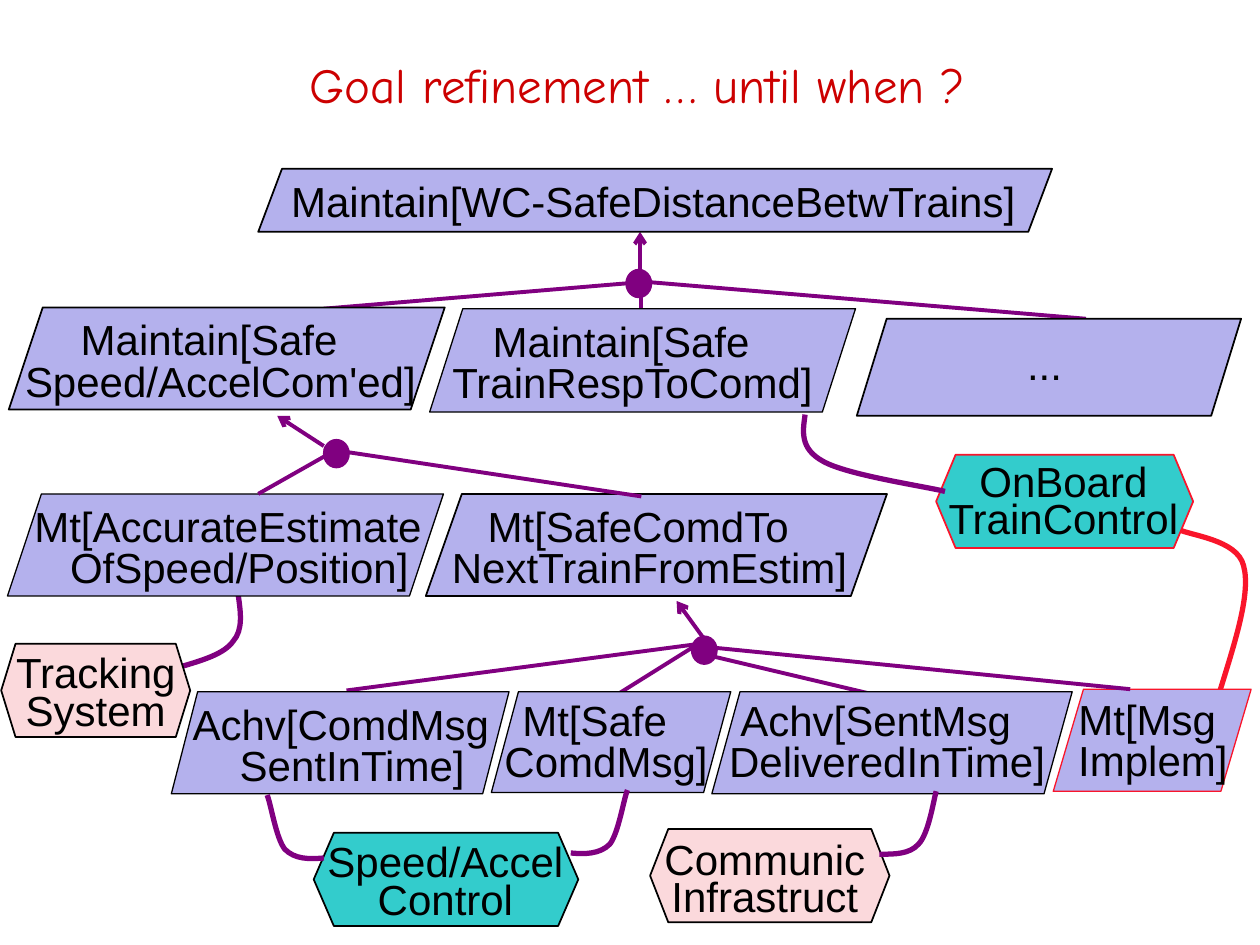
from dataclasses import dataclass

import lxml.etree
import pptx
import pptx.dml.color
import pptx.enum.shapes
import pptx.enum.text
import pptx.oxml.ns
import pptx.util

Inches = pptx.util.Inches
Pt = pptx.util.Pt
qn = pptx.oxml.ns.qn
Preset = pptx.enum.shapes.MSO_SHAPE
Point = tuple[float, float]
Area = tuple[float, float, float, float]

COLORS = {
    "title": "CC0000",
    "text": "000000",
    "outline": "000000",
    "goal": "B4B1ED",
    "link": "800080",
    "software": "33CCCC",
    "environment": "FBD9DC",
    "alert": "F9152B",
}
NODE_SIZE = (0.2, 0.22)


@dataclass
class Label:
    lines: list[str]
    area: Area
    spacing: float = 0.6
    gap: float = 5
    indents: tuple[float, float] = (0, 0.18)
    wrap: bool = True


@dataclass
class Goal:
    area: Area
    slant: float
    label: Label
    weight: float = 0.75
    outline: str = "outline"


@dataclass
class Agent:
    area: Area
    corner: float
    fill: str
    lines: list[str]
    label_area: Area
    outline: str = "outline"


@dataclass
class Link:
    start: Point
    end: Point
    arrow: bool = False


@dataclass
class Curve:
    points: list[Point]
    color: str = "link"


NODES = [(5.49, 5.05), (4.97, 2.14), (2.57, 3.49)]

BACK_LINKS = [
    Link((5.66, 5.17), (5.37, 4.77), True),
    Link((5.51, 5.13), (4.87, 5.53)),
    Link((5.55, 5.11), (2.75, 5.48)),
    Link((7.01, 5.53), (5.66, 5.21)),
    Link((2.57, 2.45), (5.08, 2.24)),
    Link((8.62, 2.53), (5.16, 2.24)),
    Link((5.08, 2.24), (5.08, 1.84), True),
    Link((5.09, 2.78), (5.09, 2.24)),
    Link((2.57, 3.54), (2.2, 3.3), True),
]
FRONT_LINKS = [
    Link((2.05, 3.92), (2.72, 3.54)),
    Link((5.09, 3.94), (2.57, 3.56)),
    Link((8.97, 5.47), (5.66, 5.14)),
]

BACK_CURVES = [
    Curve([(1.44, 5.29), (1.61, 5.24), (1.78, 5.19), (1.85, 5.09),
           (1.93, 5), (1.91, 4.86), (1.89, 4.72)]),
    Curve([(9.68, 5.49), (9.8, 5.1), (9.93, 4.71), (9.87, 4.49),
           (9.82, 4.28), (9.44, 4.25), (9.35, 4.2)], "alert"),
]
FRONT_CURVES = [
    Curve([(6.39, 3.29), (6.37, 3.43), (6.35, 3.56), (6.53, 3.66),
           (6.72, 3.77), (7.34, 3.86), (7.5, 3.9)]),
    Curve([(6.98, 6.78), (7.1, 6.78), (7.22, 6.78), (7.29, 6.7),
           (7.37, 6.62), (7.41, 6.35), (7.43, 6.28)]),
    Curve([(4.53, 6.77), (4.64, 6.78), (4.76, 6.78), (4.84, 6.7),
           (4.91, 6.61), (4.95, 6.34), (4.98, 6.27)]),
    Curve([(2.57, 6.81), (2.45, 6.82), (2.34, 6.82), (2.26, 6.74),
           (2.19, 6.65), (2.15, 6.38), (2.12, 6.31)]),
]

GOALS = [
    Goal((0.07, 2.44, 3.46, 0.81), 0.333,
         Label(["Maintain[Safe", "Speed/AccelCom'ed]"], (-0.09, 2.44, 3.5, 0.81)), 1),
    Goal((2.05, 1.34, 6.3, 0.5), 0.377,
         Label(["Maintain[WC-SafeDistanceBetwTrains]"], (2.2, 1.34, 5.97, 0.5), wrap=False), 1),
    Goal((3.41, 2.45, 3.38, 0.82), 0.321,
         Label(["Maintain[Safe", "TrainRespToComd]"], (3.28, 2.45, 3.3, 0.81))),
    Goal((6.8, 2.53, 3.05, 0.77), 0.308,
         Label(["..."], (8.05, 2.64, 0.48, 0.5), wrap=False), 1),
    Goal((0.06, 3.92, 3.46, 0.81), 0.333,
         Label(["Mt[AccurateEstimate", "OfSpeed/Position]"], (0.06, 3.92, 3.5, 0.81))),
    Goal((3.38, 3.92, 3.66, 0.81), 0.353,
         Label(["Mt[SafeComdTo", "NextTrainFromEstim]"], (3.21, 3.92, 3.71, 0.81)), 1),
    Goal((1.36, 5.49, 2.68, 0.81), 0.258,
         Label(["Achv[ComdMsg", "SentInTime]"], (1.35, 5.49, 2.71, 0.81))),
    Goal((3.9, 5.49, 1.9, 0.8), 0.269,
         Label(["Mt[Safe", "ComdMsg]"], (3.7, 5.46, 2.04, 0.81))),
    Goal((5.65, 5.49, 2.86, 0.81), 0.276,
         Label(["Achv[SentMsg", "DeliveredInTime]"], (5.44, 5.46, 3.02, 0.81))),
    Goal((8.36, 5.47, 1.57, 0.81), 0.296,
         Label(["Mt[Msg", "Implem]"], (8.27, 5.45, 1.58, 0.81), indents=(0.09, 0.18)),
         outline="alert"),
]

AGENTS = [
    Agent((2.49, 6.61, 2.1, 0.74), 0.216, "software",
          ["Speed/Accel", "Control"], (2.5, 6.58, 2.07, 0.75)),
    Agent((0.01, 5.11, 1.5, 0.74), 0.154, "environment",
          ["Tracking", "System"], (0.02, 5.08, 1.48, 0.75)),
    Agent((5.16, 6.58, 1.9, 0.74), 0.195, "environment",
          ["Communic", "Infrastruct"], (5.17, 6.56, 1.8, 0.75)),
    Agent((7.43, 3.61, 2.04, 0.74), 0.209, "software",
          ["OnBoard", "TrainControl"], (7.42, 3.56, 2.04, 0.75), "alert"),
]


def rgb(name: str) -> pptx.dml.color.RGBColor:
    return pptx.dml.color.RGBColor.from_string(COLORS[name])


def add_span(para, text: str, font: str, size: float, color: str) -> None:
    para.alignment = pptx.enum.text.PP_ALIGN.CENTER
    span = para.add_run()
    span.text = text
    span.font.name, span.font.size = font, Pt(size)
    span.font.color.rgb = rgb(color)


def style_line(item, color: str, weight: float) -> None:
    item.line.color.rgb = rgb(color)
    item.line.width = Pt(weight)


def draw_shape(page, preset, area: Area, fill: str, outline: str, weight: float = 1,
               adjust: float | None = None) -> None:
    shape = page.shapes.add_shape(preset, *map(Inches, area))
    shape.shadow.inherit = False
    shape.fill.solid()
    shape.fill.fore_color.rgb = rgb(fill)
    style_line(shape, outline, weight)
    if adjust is not None:
        shape.adjustments[0] = adjust


def draw_label(page, label: Label) -> None:
    frame = page.shapes.add_textbox(*map(Inches, label.area)).text_frame
    frame.word_wrap = label.wrap
    frame.auto_size = pptx.enum.text.MSO_AUTO_SIZE.SHAPE_TO_FIT_TEXT
    frame.vertical_anchor = pptx.enum.text.MSO_ANCHOR.MIDDLE
    for index, (text, indent) in enumerate(zip(label.lines, label.indents)):
        para = frame.add_paragraph() if index else frame.paragraphs[0]
        para.space_before = Pt(label.gap if index else 12)
        if index:
            para.line_spacing = label.spacing
        add_span(para, text, "Arial", 24, "text")
        if indent:
            para._p.get_or_add_pPr().set("marL", str(Inches(indent)))


def draw_goal(page, goal: Goal) -> None:
    draw_shape(page, Preset.PARALLELOGRAM, goal.area, "goal", goal.outline, goal.weight, goal.slant)
    draw_label(page, goal.label)


def draw_agent(page, agent: Agent) -> None:
    draw_shape(page, Preset.HEXAGON, agent.area, agent.fill, agent.outline, adjust=agent.corner)
    draw_label(page, Label(agent.lines, agent.label_area, 0.2, 12, (0, 0), False))


def draw_link(page, link: Link) -> None:
    line = page.shapes.add_connector(pptx.enum.shapes.MSO_CONNECTOR.STRAIGHT,
                                     *map(Inches, link.start + link.end))
    style_line(line, "link", 2.25)
    if link.arrow:
        lxml.etree.SubElement(line.line._get_or_add_ln(), qn("a:tailEnd"), type="arrow")
    lxml.etree.SubElement(line._element.spPr, qn("a:effectLst"))


def draw_curve(page, curve: Curve) -> None:
    points = [(Inches(x), Inches(y)) for x, y in curve.points]
    builder = page.shapes.build_freeform(*points[0])
    builder.add_line_segments(points[1:], close=False)
    shape = builder.convert_to_shape()
    shape.shadow.inherit = False
    shape.fill.background()
    style_line(shape, curve.color, 3)
    # Turn each three straight segments into one Bézier segment
    outline = next(shape._element.iter(qn("a:path")))
    segments = outline.findall(qn("a:lnTo"))
    for first in range(0, len(segments), 3):
        bezier = lxml.etree.SubElement(outline, qn("a:cubicBezTo"))
        for segment in segments[first:first + 3]:
            bezier.append(segment[0])
            outline.remove(segment)


def main() -> None:
    deck = pptx.Presentation()
    deck.slide_width, deck.slide_height = Inches(10), Inches(7.5)
    page = deck.slides.add_slide(deck.slide_layouts[5])

    # Title
    title = page.shapes.title
    title.left, title.top, title.width, title.height = map(Inches, (0.33, 0.25, 9.46, 0.83))
    title.text_frame.vertical_anchor = pptx.enum.text.MSO_ANCHOR.MIDDLE
    add_span(title.text_frame.paragraphs[0], "Goal refinement … until when ?",
             "Comic Neue", 28, "title")

    # Refinement tree, from back to front
    for curve in BACK_CURVES:
        draw_curve(page, curve)
    for link in BACK_LINKS:
        draw_link(page, link)
    for node in NODES:
        draw_shape(page, Preset.OVAL, node + NODE_SIZE, "link", "link")
    for goal in GOALS:
        draw_goal(page, goal)
    for agent in AGENTS:
        draw_agent(page, agent)
    for link in FRONT_LINKS:
        draw_link(page, link)
    for curve in FRONT_CURVES:
        draw_curve(page, curve)

    deck.save("out.pptx")


if __name__ == "__main__":
    main()
